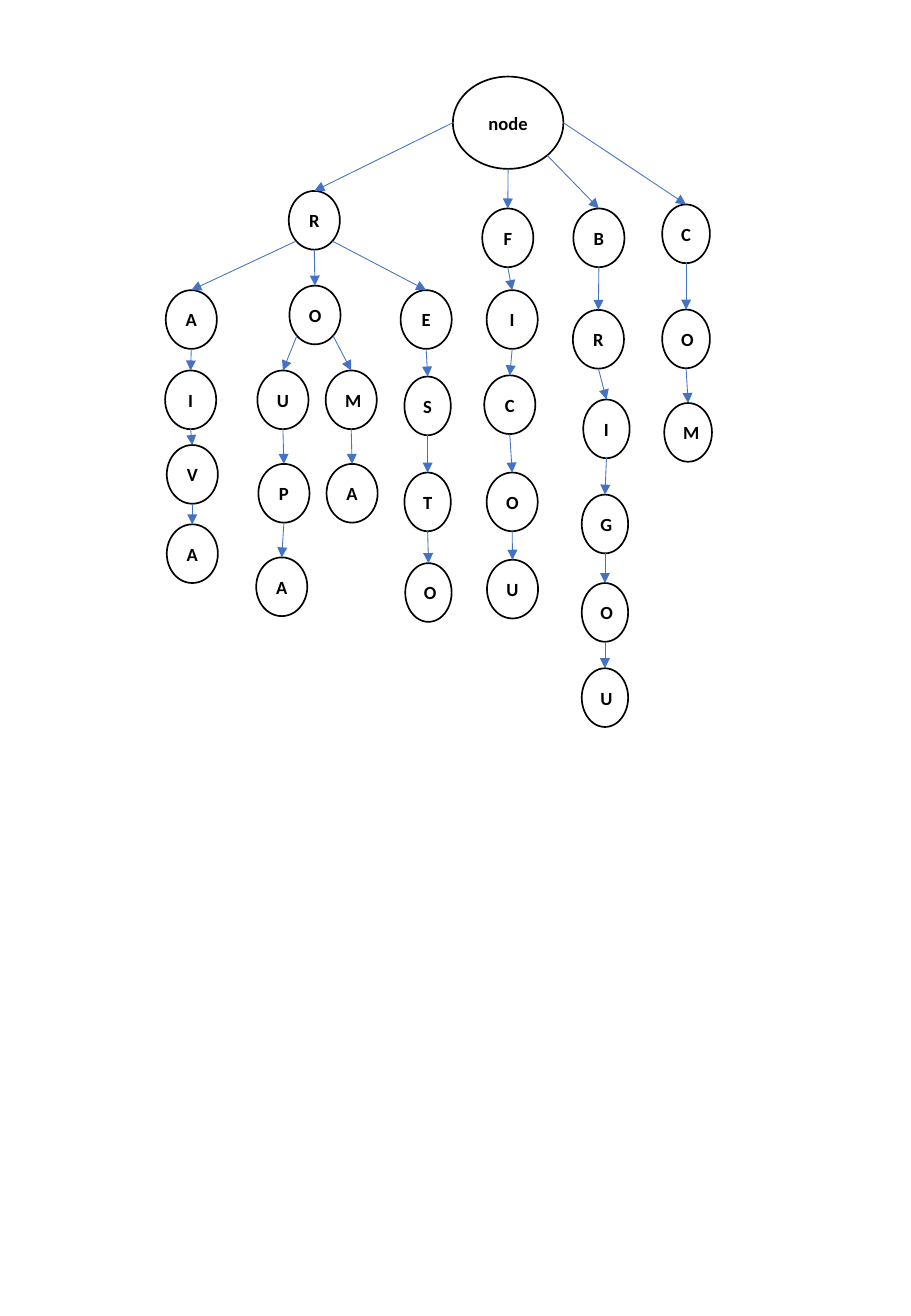
import math
from dataclasses import dataclass

import lxml.etree
import pptx
import pptx.dml.color
import pptx.enum.shapes
import pptx.enum.text
import pptx.oxml.ns
import pptx.util

Pt = pptx.util.Pt
qn = pptx.oxml.ns.qn


@dataclass(frozen=True)
class Theme:
    ink: pptx.dml.color.RGBColor = pptx.dml.color.RGBColor(0, 0, 0)
    arrow: pptx.dml.color.RGBColor = pptx.dml.color.RGBColor(0x44, 0x72, 0xC4)
    font: str = "Calibri"
    letter_size: float = 11
    outline: float = 1
    arrow_line: float = 0.5


THEME = Theme()
TOP, LEFT, LOWER_LEFT, BOTTOM, LOWER_RIGHT, RIGHT = 0, 2, 3, 4, 5, 6
WIDE, MEDIUM, NARROW = 30.3, 28.3, 27.5
LETTER_HEIGHT = 34.8


def draw_node(slide, label, center, top, width, height=LETTER_HEIGHT):
    node = slide.shapes.add_shape(
        pptx.enum.shapes.MSO_SHAPE.OVAL,
        Pt(center - width / 2), Pt(top), Pt(width), Pt(height))
    node.shadow.inherit = False
    node.fill.background()
    node.line.color.rgb = THEME.ink
    node.line.width = Pt(THEME.outline)
    frame = node.text_frame
    frame.text = label
    frame.word_wrap = True
    frame.vertical_anchor = pptx.enum.text.MSO_ANCHOR.MIDDLE
    paragraph = frame.paragraphs[0]
    paragraph.alignment = pptx.enum.text.PP_ALIGN.CENTER
    font = paragraph.runs[0].font
    font.name = THEME.font
    font.size = Pt(THEME.letter_size)
    font.bold = True
    font.color.rgb = THEME.ink
    return node


def site_point(node, site):
    angle = math.pi / 4 * site
    x = node.left + node.width / 2 * (1 - math.sin(angle))
    y = node.top + node.height / 2 * (1 - math.cos(angle))
    return round(x), round(y)


def draw_arrow(slide, parent, site, child):
    arrow = slide.shapes.add_connector(
        pptx.enum.shapes.MSO_CONNECTOR.STRAIGHT,
        *site_point(parent, site), *site_point(child, TOP))
    arrow.line.color.rgb = THEME.arrow
    arrow.line.width = Pt(THEME.arrow_line)
    lxml.etree.SubElement(arrow.line._get_or_add_ln(), qn("a:tailEnd"), type="triangle")
    lxml.etree.SubElement(arrow._element.spPr, qn("a:effectLst"))
    ends = arrow._element.nvCxnSpPr.cNvCxnSpPr
    for tag, node, index in (("a:stCxn", parent, site), ("a:endCxn", child, TOP)):
        lxml.etree.SubElement(ends, qn(tag), id=str(node.shape_id), idx=str(index))


def grow_branch(slide, parent, site, letters):
    for label, center, top, width in letters:
        child = draw_node(slide, label, center, top, width)
        draw_arrow(slide, parent, site, child)
        parent, site = child, BOTTOM
    return parent


def main():
    deck = pptx.Presentation()
    deck.slide_width, deck.slide_height = Pt(540), Pt(780)
    slide = deck.slides.add_slide(deck.slide_layouts[6])

    root = draw_node(slide, "node", 301.2, 45.4, 65.5, 54.7)
    r = grow_branch(slide, root, LEFT, [("R", 186.3, 113.2, WIDE)])
    grow_branch(slide, r, LOWER_LEFT, [
        ("A", 113.4, 172, WIDE), ("I", 113, 219.6, WIDE),
        ("V", 114, 263.8, WIDE), ("A", 114, 310.8, WIDE)])
    ro = grow_branch(slide, r, BOTTOM, [("O", 186.7, 169.3, WIDE)])
    grow_branch(slide, ro, LOWER_LEFT, [
        ("U", 167.7, 219.6, WIDE), ("P", 168.3, 275, WIDE), ("A", 167, 330.4, WIDE)])
    grow_branch(slide, ro, LOWER_RIGHT, [("M", 208.2, 219.6, WIDE), ("A", 208.7, 275, WIDE)])
    grow_branch(slide, r, LOWER_RIGHT, [
        ("E", 252.6, 172, WIDE), ("S", 253.5, 223.2, NARROW),
        ("T", 253.5, 280.1, NARROW), ("O", 254, 333.8, NARROW)])
    grow_branch(slide, root, BOTTOM, [
        ("F", 301, 123.6, WIDE), ("I", 303.6, 172, WIDE), ("C", 302.2, 222.5, WIDE),
        ("O", 303.6, 280.1, WIDE), ("U", 303.8, 331.8, WIDE)])
    grow_branch(slide, root, LOWER_RIGHT, [
        ("B", 355, 123.6, WIDE), ("R", 354.7, 183.7, WIDE), ("I", 359.5, 236.8, NARROW),
        ("G", 358.6, 293.2, NARROW), ("O", 358.6, 345.6, NARROW), ("U", 358.6, 396.1, NARROW)])
    grow_branch(slide, root, RIGHT, [
        ("C", 406.7, 121.2, MEDIUM), ("O", 406.7, 183.5, MEDIUM), ("M", 407.9, 238.9, MEDIUM)])

    deck.save("out.pptx")


main()
